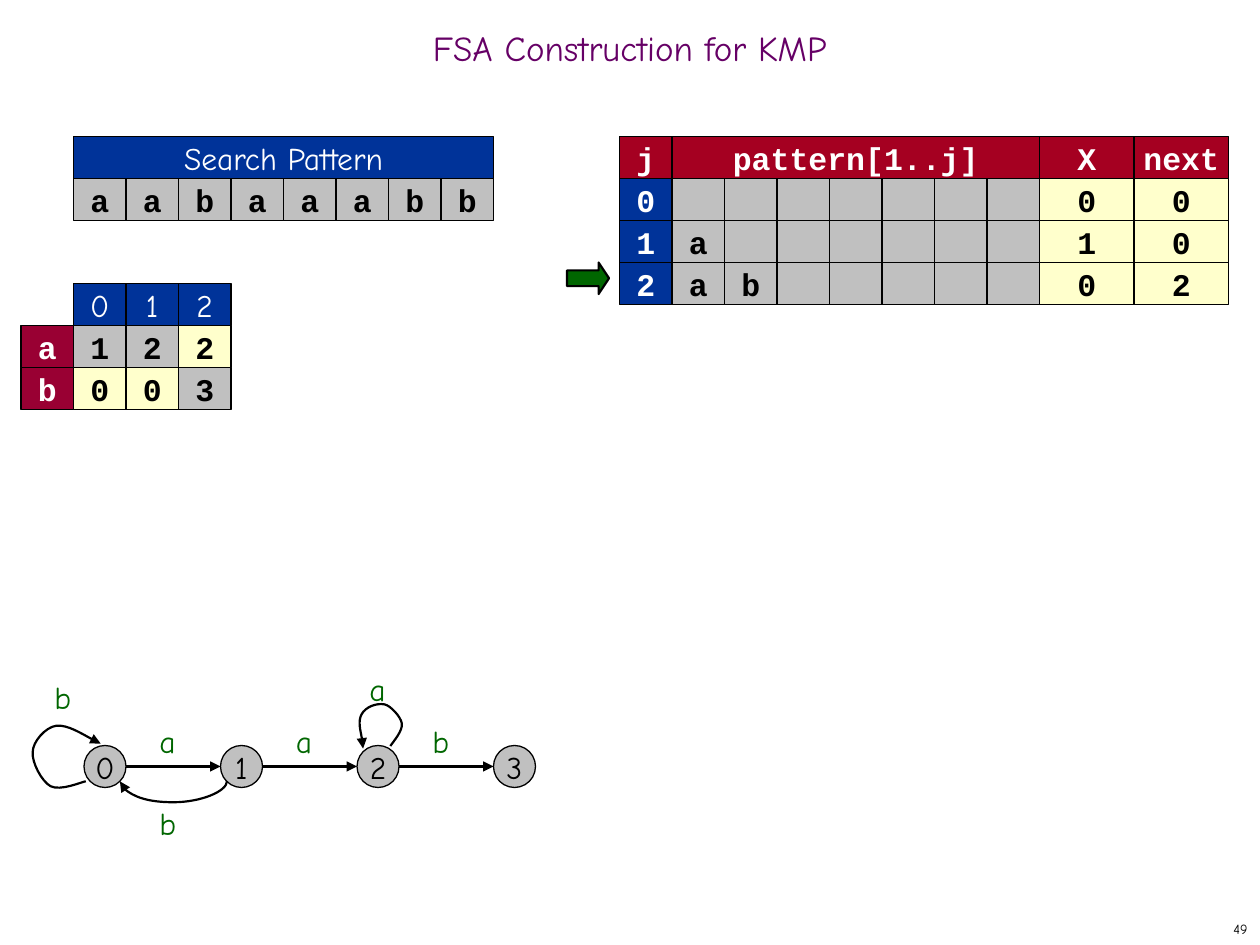
"""Build the slide on constructing a finite state automaton for KMP."""
from dataclasses import dataclass
from typing import Optional, Sequence

from lxml.etree import SubElement
from pptx import Presentation
from pptx.dml.color import RGBColor
from pptx.enum.shapes import MSO_CONNECTOR, MSO_SHAPE
from pptx.enum.text import MSO_ANCHOR, PP_ALIGN
from pptx.oxml.ns import qn
from pptx.util import Cm, Length, Pt


@dataclass(frozen=True)
class Theme:
    hand: str = "Comic Neue"
    code: str = "Courier New"
    black: str = "000000"
    white: str = "FFFFFF"
    purple: str = "660066"
    blue: str = "003399"
    red: str = "A50021"
    maroon: str = "990033"
    gray: str = "C0C0C0"
    cream: str = "FFFFCC"
    green: str = "006600"
    title: float = 20
    body: float = 18
    small: float = 8
    thin: float = 0.75
    thick: float = 1.25


@dataclass(frozen=True)
class Strip:
    left: float
    top: float
    texts: Sequence[str]
    fill: str
    width: float = 5
    color: str = "000000"
    font: str = "Courier New"


@dataclass(frozen=True)
class Label:
    left: float
    top: float
    text: str


T = Theme()
ROW = 4
PATTERN_CELLS = 7
STATE_TOP = 71
STATE_LEFTS = (8, 21, 34, 47)
FSA = {"a": "122", "b": "003"}
PREFIXES = (("", "0", "0"), ("a", "1", "0"), ("ab", "0", "2"))
LABELS = (Label(14, 68.2, "a"), Label(27, 68.2, "a"), Label(40, 68.2, "b"),
          Label(14, 76, "b"), Label(4, 64, "b"), Label(34, 63.2, "a"))
LOOPS = (
    ((1.73, 15.75), (1.63, 15.77), (1.22, 15.95), (1.02, 15.85), (0.84, 15.75),
     (0.64, 15.37), (0.66, 15.16), (0.66, 14.96), (0.91, 14.66), (1.14, 14.63),
     (1.37, 14.61), (1.85, 14.91), (2.03, 14.99)),
    ((7.87, 15.04), (7.92, 14.96), (8.13, 14.73), (8.1, 14.58), (8.08, 14.45),
     (7.87, 14.22), (7.75, 14.2), (7.59, 14.17), (7.37, 14.25), (7.29, 14.4),
     (7.21, 14.55), (7.32, 14.94), (7.32, 15.09)),
)


def unit(n: float) -> Length:
    """Turn layout units, twelve to 2.54 cm, into a length."""
    return Cm(n * 2.54 / 12)


def rgb(color: str) -> RGBColor:
    """Read a hex colour."""
    return RGBColor.from_string(color)


def write(sp, text: str, *, font: str = T.hand, size: float = T.body, color: str = T.black,
          bold: bool = False, align=PP_ALIGN.CENTER, anchor=MSO_ANCHOR.MIDDLE,
          wrap: bool = False, spacing: Optional[float] = None) -> None:
    """Put one formatted paragraph in a shape."""
    tf = sp.text_frame
    tf.word_wrap, tf.vertical_anchor = wrap, anchor
    p = tf.paragraphs[0]
    p.alignment, p.line_spacing = align, spacing
    r = p.add_run()
    r.text = text
    r.font.name, r.font.size, r.font.bold = font, Pt(size), bold
    r.font.color.rgb = rgb(color)


def add_text(s, box: Sequence[float], text: str, **style) -> None:
    """Add a text box."""
    write(s.shapes.add_textbox(*map(unit, box)), text, **style)


def add_block(s, kind, box: Sequence[float], fill: str, weight: float = T.thin):
    """Add a filled and outlined preset shape."""
    sp = s.shapes.add_shape(kind, *map(unit, box))
    sp.shadow.inherit = False
    sp.fill.solid()
    sp.fill.fore_color.rgb = rgb(fill)
    sp.line.color.rgb, sp.line.width = rgb(T.black), Pt(weight)
    return sp


def add_strip(s, strip: Strip) -> None:
    """Draw a row of equal cells."""
    for i, text in enumerate(strip.texts):
        box = (strip.left + i * strip.width, strip.top, strip.width, ROW)
        sp = add_block(s, MSO_SHAPE.RECTANGLE, box, strip.fill)
        if text:
            write(sp, text, font=strip.font, color=strip.color, bold=strip.font == T.code)


def set_arrow(sp) -> None:
    """Style a line and give it an arrowhead at its end."""
    sp.line.color.rgb, sp.line.width = rgb(T.black), Pt(T.thick)
    SubElement(sp.line._get_or_add_ln(), qn("a:tailEnd"), type="triangle")


def add_link(s, kind, ends: Sequence[float], start, start_site: int, end, end_site: int):
    """Add an arrow glued to two states."""
    c = s.shapes.add_connector(kind, *map(unit, ends))
    set_arrow(c)
    SubElement(c._element.spPr, qn("a:effectLst"))
    glue = c._element.nvCxnSpPr.cNvCxnSpPr
    for tag, state, site in (("a:stCxn", start, start_site), ("a:endCxn", end, end_site)):
        SubElement(glue, qn(tag), id=str(state.shape_id), idx=str(site))
    return c


def add_loop(s, points: Sequence[tuple[float, float]]) -> None:
    """Draw an arrow through Bezier points, three to a segment."""
    (x, y), *rest = [(Cm(px), Cm(py)) for px, py in points]
    fb = s.shapes.build_freeform(x, y)
    fb.add_line_segments(rest, close=False)
    sp = fb.convert_to_shape()
    sp.shadow.inherit = False
    sp.fill.background()
    set_arrow(sp)
    lines = list(sp._element.iter(qn("a:lnTo")))
    for i in range(0, len(lines), 3):
        curve = SubElement(lines[i].getparent(), qn("a:cubicBezTo"))
        for line in lines[i:i + 3]:
            curve.append(line[0])
            line.getparent().remove(line)


def add_automaton(s) -> None:
    """Draw the states, their transitions and labels."""
    states = []
    for i, left in enumerate(STATE_LEFTS):
        states.append(add_block(s, MSO_SHAPE.OVAL, (left, STATE_TOP, ROW, ROW), T.gray))
        write(states[-1], str(i))
    mid = STATE_TOP + ROW / 2
    for i, left in enumerate(STATE_LEFTS[:-1]):
        ends = (left + ROW, mid, STATE_LEFTS[i + 1], mid)
        add_link(s, MSO_CONNECTOR.STRAIGHT, ends, states[i], 6, states[i + 1], 2)
    back = add_link(s, MSO_CONNECTOR.CURVE, (16.5, 69.3, 16.5, 79.5), states[1], 3, states[0], 5)
    back.width, back.rotation = Cm(0.01), 90
    guides = back._element.spPr.find(qn("a:prstGeom")).get_or_add_avLst()
    SubElement(guides, qn("a:gd"), name="adj1", fmla="val 4300000")
    for loop in LOOPS:
        add_loop(s, loop)
    for label in LABELS:
        add_text(s, (label.left, label.top, 5, 4.8), label.text, color=T.green,
                 align=PP_ALIGN.LEFT, anchor=MSO_ANCHOR.TOP, wrap=True)


def grid_strips() -> list[Strip]:
    """List the cells of the pattern, the transition table and the prefix table."""
    strips = [
        Strip(7, 13, ["Search Pattern"], T.blue, 40, T.white, T.hand),
        Strip(7, 17, "aabaaabb", T.gray),
        Strip(7, 27, "012", T.blue, color=T.white, font=T.hand),
        Strip(59, 13, ["j"], T.red, color=T.white),
        Strip(64, 13, ["pattern[1..j]"], T.red, 35, T.white),
        Strip(99, 13, ["X", "next"], T.red, 9, T.white),
    ]
    for i, (letter, targets) in enumerate(FSA.items()):
        top = 31 + i * ROW
        strips.append(Strip(2, top, letter, T.maroon, color=T.white))
        for state, target in enumerate(targets):
            fill = T.gray if int(target) == state + 1 else T.cream
            strips.append(Strip(7 + state * 5, top, target, fill))
    for j, (prefix, x, following) in enumerate(PREFIXES):
        top = 17 + j * ROW
        cells = [*prefix] + [""] * (PATTERN_CELLS - len(prefix))
        strips += [Strip(59, top, str(j), T.blue, color=T.white),
                   Strip(64, top, cells, T.gray),
                   Strip(99, top, [x, following], T.cream, 9)]
    return strips


def main() -> None:
    """Build and save the slide."""
    prs = Presentation()
    prs.slide_width, prs.slide_height = Cm(25.4), Cm(19.05)
    s = prs.slides.add_slide(prs.slide_layouts[6])
    add_text(s, (95, 87, 25, 3), "49", size=T.small, align=PP_ALIGN.RIGHT)
    add_text(s, (0, 2, 120, 6), "FSA Construction for KMP", size=T.title, color=T.purple,
             wrap=True, spacing=0.7)
    add_automaton(s)
    for strip in grid_strips():
        add_strip(s, strip)
    pointer = add_block(s, MSO_SHAPE.RIGHT_ARROW, (54, 25, 4, 3), T.green, T.thick)
    pointer.adjustments[1] = 0.33
    prs.save("out.pptx")


if __name__ == "__main__":
    main()
